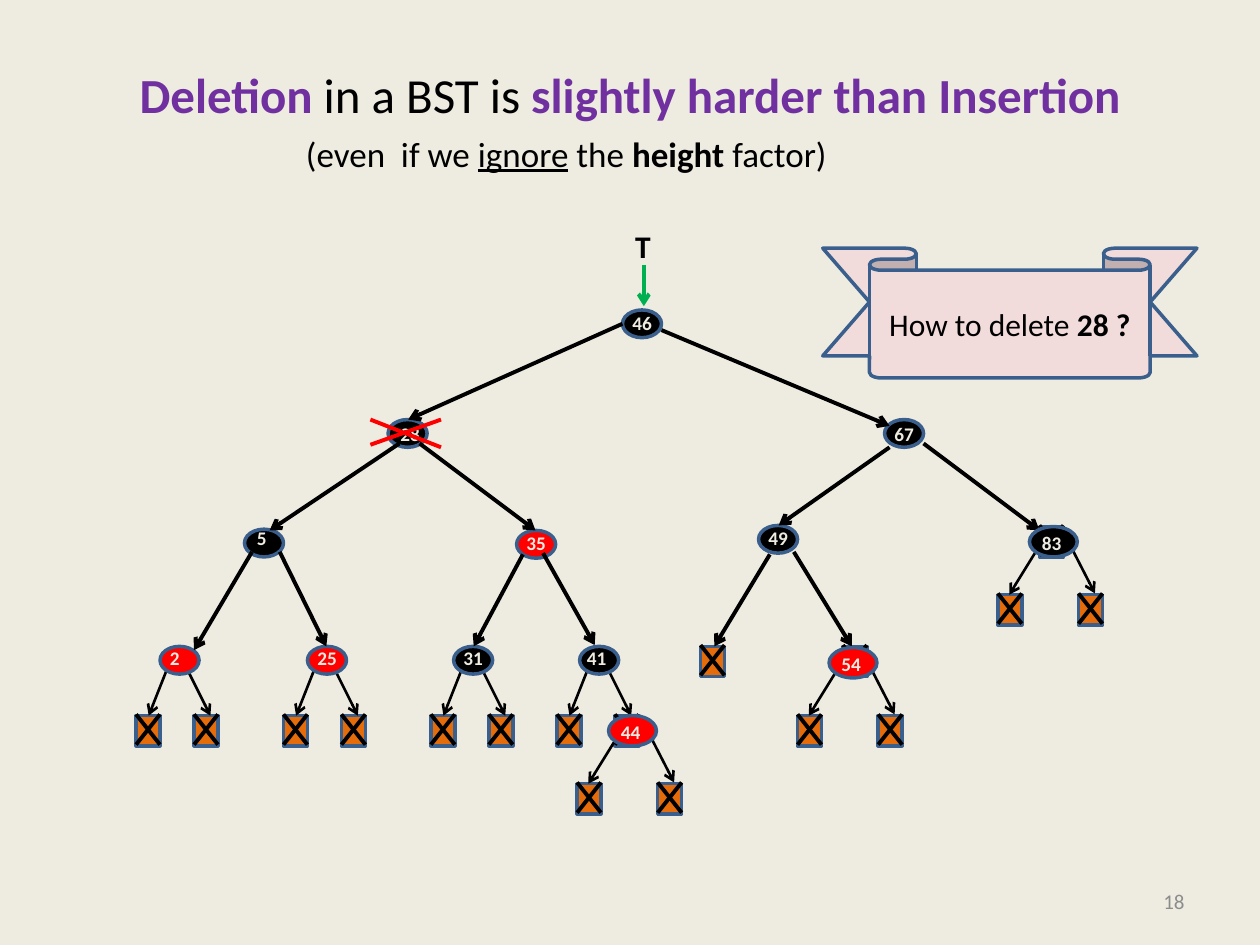
from dataclasses import dataclass

from lxml import etree
from pptx import Presentation
from pptx.dml.color import RGBColor
from pptx.enum.shapes import MSO_CONNECTOR, MSO_SHAPE
from pptx.enum.text import MSO_ANCHOR, PP_ALIGN
from pptx.oxml.ns import qn
from pptx.util import Inches, Pt

STRAIGHT = MSO_CONNECTOR.STRAIGHT
OVAL, RECT, RIBBON = MSO_SHAPE.OVAL, MSO_SHAPE.RECTANGLE, MSO_SHAPE.DOWN_RIBBON
LEFT, CENTER, RIGHT = PP_ALIGN.LEFT, PP_ALIGN.CENTER, PP_ALIGN.RIGHT
TOP, MIDDLE = MSO_ANCHOR.TOP, MSO_ANCHOR.MIDDLE

FONT = "Calibri"
COLORS = {
    "background": "EEECE1", "black": "000000", "red": "FF0000",
    "outline": "3A5F8C", "nil": "E46C0A", "accent": "7030A0",
    "pointer": "00B050", "ribbon": "F2DCDB", "number": "8C8C8C",
}
NODE_SIZE, WIDE_NODE_SIZE, NIL_SIZE = (0.31, 0.22), (0.38, 0.24), (0.19, 0.24)


@dataclass
class Run:
    text: str
    color: str = "black"
    bold: bool = False
    underline: bool = False


@dataclass
class Node:
    value: str
    color: str
    left: float
    top: float
    label_left: float
    label_top: float


@dataclass
class Edge:
    x1: float
    y1: float
    x2: float
    y2: float


@dataclass
class NilParent:
    """A node with two nil children, placed by its left child."""
    value: str
    color: str
    left: float
    top: float


NODES = [
    Node("46", "black", 4.94, 2.46, 4.92, 2.42),
    Node("28", "black", 3.08, 3.33, 3.08, 3.30),
    Node("67", "black", 7.02, 3.33, 7.00, 3.30),
    Node("5", "black", 1.94, 4.20, 1.94, 4.13),
    Node("35", "red", 4.10, 4.21, 4.08, 4.17),
    Node("49", "black", 6.02, 4.17, 6.00, 4.13),
    Node("2", "red", 1.27, 5.13, 1.25, 5.08),
    Node("25", "red", 2.44, 5.13, 2.42, 5.08),
    Node("31", "black", 3.60, 5.13, 3.58, 5.08),
    Node("41", "black", 4.60, 5.13, 4.56, 5.08),
]
EDGES = [
    Edge(4.94, 2.57, 3.24, 3.33), Edge(5.25, 2.62, 7.06, 3.38),
    Edge(3.17, 3.52, 2.14, 4.21), Edge(3.33, 3.52, 4.25, 4.21),
    Edge(7.06, 3.55, 6.18, 4.17), Edge(7.33, 3.52, 8.25, 4.21),
    Edge(2.00, 4.38, 1.54, 5.16), Edge(2.22, 4.38, 2.59, 5.13),
    Edge(4.15, 4.40, 3.76, 5.13), Edge(4.31, 4.39, 4.72, 5.12),
    Edge(6.11, 4.40, 5.67, 5.13), Edge(6.30, 4.38, 6.76, 5.13),
]
NIL_PAIR_LEFTS, NIL_PAIR_TOP = (1.08, 2.25, 3.42, 4.42), 5.68
SINGLE_NILS = [(5.56, 5.13), (6.69, 5.13), (8.25, 4.18)]
NIL_PARENTS = [
    NilParent("83", "black", 7.92, 4.72),
    NilParent("54", "red", 6.33, 5.68),
    NilParent("44", "red", 4.58, 6.22),
]
DELETE_MARK = [Edge(2.94, 3.53, 3.50, 3.33), Edge(2.94, 3.33, 3.50, 3.55)]


def rgb(color: str) -> RGBColor:
    return RGBColor.from_string(COLORS[color])


def write(frame, runs: list[Run], size: float, align=LEFT, anchor=TOP, wrap=True) -> None:
    frame.word_wrap = wrap
    frame.vertical_anchor = anchor
    paragraph = frame.paragraphs[0]
    paragraph.alignment = align
    paragraph.font.name = FONT
    paragraph.font.size = Pt(size)
    for item in runs:
        run = paragraph.add_run()
        run.text = item.text
        run.font.color.rgb = rgb(item.color)
        run.font.bold = item.bold
        if item.underline:
            run.font.underline = True


def add_text(slide, box: tuple, runs: list[Run], size: float, **layout):
    frame = slide.shapes.add_textbox(*map(Inches, box)).text_frame
    write(frame, runs, size, **layout)
    return frame


def add_filled(slide, preset, box: tuple, fill: str):
    shape = slide.shapes.add_shape(preset, *map(Inches, box))
    shape.shadow.inherit = False
    shape.fill.solid()
    shape.fill.fore_color.rgb = rgb(fill)
    shape.line.color.rgb = rgb("outline")
    shape.line.width = Pt(2)
    return shape


def add_line(slide, edge: Edge, color="black", width=2.25, arrow=False) -> None:
    ends = map(Inches, (edge.x1, edge.y1, edge.x2, edge.y2))
    connector = slide.shapes.add_connector(STRAIGHT, *ends)
    connector.line.color.rgb = rgb(color)
    connector.line.width = Pt(width)
    if arrow:
        outline = connector.line._get_or_add_ln()
        etree.SubElement(outline, qn("a:tailEnd"), type="arrow")
    etree.SubElement(connector._element.spPr, qn("a:effectLst"))


def add_nil(slide, left: float, top: float) -> None:
    width, height = NIL_SIZE
    add_filled(slide, RECT, (left, top, width, height), "nil")
    right, upper, lower = left + width, top - 0.01, top + height - 0.01
    add_line(slide, Edge(right, upper, left, lower))
    add_line(slide, Edge(left, upper, right, lower))


def add_nil_pair(slide, left: float, top: float) -> None:
    add_nil(slide, left, top)
    add_nil(slide, left + 0.46, top)
    for start, end in ((0.25, 0.1), (0.4, 0.59)):
        add_line(slide, Edge(left + start, top - 0.38, left + end, top), width=1.5, arrow=True)


def add_label(slide, value: str, left: float, top: float, width: float, wrap: bool) -> None:
    add_text(slide, (left, top, width, 0.29), [Run(value, "background", True)], 11, wrap=wrap)


def add_node(slide, node: Node) -> None:
    add_filled(slide, OVAL, (node.left, node.top, *NODE_SIZE), node.color)
    width = 0.2 + 0.08 * len(node.value)
    add_label(slide, node.value, node.label_left, node.label_top, width, wrap=False)


def add_nil_parent(slide, parent: NilParent) -> None:
    x, y = parent.left, parent.top
    add_nil(slide, x, y)
    add_nil(slide, x + 0.64, y)
    add_line(slide, Edge(x + 0.3, y - 0.34, x + 0.09, y), width=1.5, arrow=True)
    add_line(slide, Edge(x + 0.58, y - 0.38, x + 0.77, y - 0.01), width=1.5, arrow=True)
    add_filled(slide, OVAL, (x + 0.25, y - 0.54, *WIDE_NODE_SIZE), parent.color)
    add_label(slide, parent.value, x + 0.25, y - 0.55, 0.43, wrap=True)


def main() -> None:
    deck = Presentation()
    deck.slide_width, deck.slide_height = Inches(10), Inches(7.5)
    slide = deck.slides.add_slide(deck.slide_layouts[6])
    slide.background.fill.solid()
    slide.background.fill.fore_color.rgb = rgb("background")

    # Heading and slide number
    title = add_text(slide, (0.5, 0.3, 9, 1.25), [
        Run("Deletion ", "accent", True), Run("in a BST is "),
        Run("slightly harder than Insertion", "accent", True),
    ], 28, align=CENTER, anchor=MIDDLE)
    title.margin_bottom = Inches(0.41)
    add_text(slide, (2.33, 1, 4.44, 0.44), [
        Run("(even  if we "), Run("ignore", underline=True), Run(" the "),
        Run("height", bold=True), Run(" factor)"),
    ], 20, wrap=False)
    add_text(slide, (7.17, 6.95, 2.33, 0.4), [Run("18", "number")], 12,
             align=RIGHT, anchor=MIDDLE)

    # Tree
    for left in NIL_PAIR_LEFTS:
        add_nil_pair(slide, left, NIL_PAIR_TOP)
    for left, top in SINGLE_NILS:
        add_nil(slide, left, top)
    for node in NODES:
        add_node(slide, node)
    for edge in EDGES:
        add_line(slide, edge, arrow=True)
    for parent in NIL_PARENTS:
        add_nil_parent(slide, parent)

    # Root pointer
    add_line(slide, Edge(5.11, 2.1, 5.11, 2.43), "pointer", arrow=True)
    root_name = add_text(slide, (4.83, 1.75, 0.55, 0.4), [Run("T", bold=True)], 18)
    root_name.margin_left = Inches(0.21)

    # Question and the mark on the node to delete
    question = add_filled(slide, RIBBON, (6.53, 1.97, 2.97, 1.03), "ribbon")
    question.adjustments[0], question.adjustments[1] = 0.17, 0.75
    write(question.text_frame, [Run("How to delete "), Run("28 ?", bold=True)], 18,
          align=CENTER, anchor=MIDDLE)
    for stroke in DELETE_MARK:
        add_line(slide, stroke, "red")

    deck.save("out.pptx")


if __name__ == "__main__":
    main()
